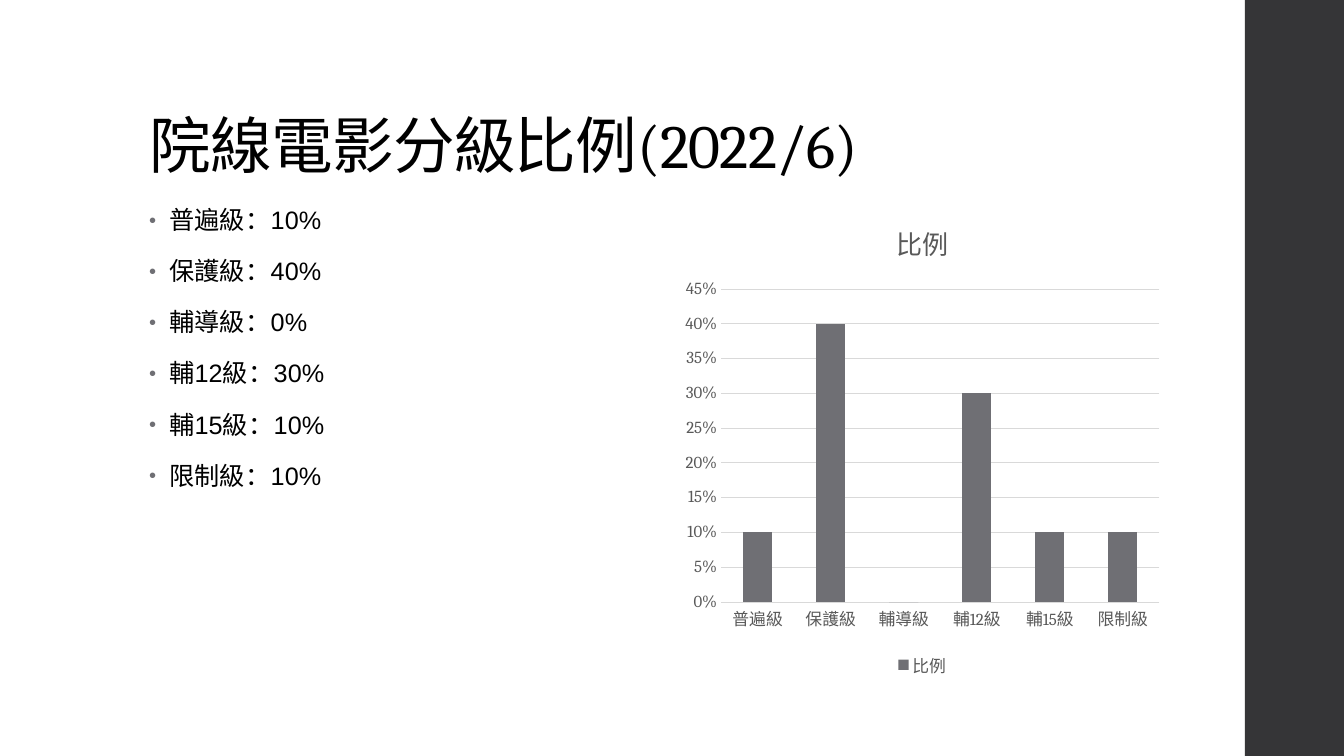
import pptx
import pptx.chart.data
import pptx.dml.color
import pptx.enum.chart
import pptx.enum.shapes
import pptx.enum.text
import pptx.oxml.ns
import pptx.util
from lxml import etree

RGBColor = pptx.dml.color.RGBColor
WHITE = RGBColor(0xFF, 0xFF, 0xFF)
BLACK = RGBColor(0, 0, 0)
CHARCOAL = RGBColor(0x35, 0x35, 0x37)
ACCENT = RGBColor(0x6F, 0x6F, 0x74)
CHART_TEXT = RGBColor(0x59, 0x59, 0x59)
GRIDLINE = RGBColor(0xD9, 0xD9, 0xD9)

COLUMNS, ROWS = 160, 90
SERIF, SANS = "Cambria", "Arial"

RATINGS = {"普遍級": 0.1, "保護級": 0.4, "輔導級": 0, "輔12級": 0.3, "輔15級": 0.1, "限制級": 0.1}


class RatingSlide:
    def __init__(self, prs):
        self.prs = prs
        self.slide = prs.slides.add_slide(prs.slide_layouts[5])
        self.slide.background.fill.solid()
        self.slide.background.fill.fore_color.rgb = WHITE

    def box(self, col, row, cols, rows):
        """Turn grid columns and rows into left, top, width and height."""
        x, y = self.prs.slide_width / COLUMNS, self.prs.slide_height / ROWS
        return round(col * x), round(row * y), round(cols * x), round(rows * y)

    def style(self, font, size, color, name=SERIF):
        font.size = pptx.util.Pt(size)
        font.name = name
        font.color.rgb = color
        font.bold = False

    def run(self, p, text, size, name, tracking):
        """Add a run; tracking is in hundredths of a point."""
        r = p.add_run()
        r.text = text
        self.style(r.font, size, BLACK, name)
        r.font._element.set("spc", str(tracking))

    def bar(self, *cells):
        sp = self.slide.shapes.add_shape(pptx.enum.shapes.MSO_SHAPE.RECTANGLE, *self.box(*cells))
        sp.shadow.inherit = False
        sp.fill.solid()
        sp.fill.fore_color.rgb = CHARCOAL
        sp.line.fill.background()

    def title(self, text, *cells):
        sp = self.slide.shapes.title
        sp.left, sp.top, sp.width, sp.height = self.box(*cells)
        tf = sp.text_frame
        tf.word_wrap = True
        tf.auto_size = pptx.enum.text.MSO_AUTO_SIZE.NONE
        tf.vertical_anchor = pptx.enum.text.MSO_ANCHOR.BOTTOM
        p = tf.paragraphs[0]
        p.alignment = pptx.enum.text.PP_ALIGN.LEFT
        p.line_spacing = 0.9
        self.run(p, text, 44, SERIF, -50)

    def bullet(self, p):
        pPr = p._p.get_or_add_pPr()
        pPr.set("marL", str(pptx.util.Inches(0.2)))
        pPr.set("indent", str(pptx.util.Inches(-0.2)))
        qn = pptx.oxml.ns.qn
        color = etree.SubElement(pPr, qn("a:buClr"))
        etree.SubElement(color, qn("a:srgbClr"), val=str(ACCENT))
        etree.SubElement(pPr, qn("a:buSzPct"), val="80000")
        etree.SubElement(pPr, qn("a:buFont"), typeface=SANS)
        etree.SubElement(pPr, qn("a:buChar"), char="•")

    def bullets(self, ratings, *cells):
        tf = self.slide.shapes.add_textbox(*self.box(*cells)).text_frame
        tf.word_wrap = True
        for i, (label, share) in enumerate(ratings.items()):
            p = tf.add_paragraph() if i else tf.paragraphs[0]
            self.bullet(p)
            p.line_spacing = 0.95
            p.space_before = pptx.util.Pt(14 if i else 0)
            p.space_after = pptx.util.Pt(2)
            self.run(p, label, 18, SANS if i else SERIF, 10)
            self.run(p, f"：{share:.0%}", 18, SANS, 10)

    def column_chart(self, name, ratings, *cells):
        data = pptx.chart.data.CategoryChartData(number_format="0%")
        data.categories = list(ratings)
        data.add_series(name, list(ratings.values()))
        kind = pptx.enum.chart.XL_CHART_TYPE.COLUMN_CLUSTERED
        chart = self.slide.shapes.add_chart(kind, *self.box(*cells), data).chart
        self.style(chart.font, 10, BLACK)

        chart.has_title = True
        p = chart.chart_title.text_frame.paragraphs[0]
        r = p.add_run()
        r.text = name
        self.style(r.font, 18.6, CHART_TEXT)
        chart.chart_title.include_in_layout = False

        chart.has_legend = True
        chart.legend.position = pptx.enum.chart.XL_LEGEND_POSITION.BOTTOM
        chart.legend.include_in_layout = False
        self.style(chart.legend.font, 12, CHART_TEXT)

        for axis in (chart.category_axis, chart.value_axis):
            axis.major_tick_mark = pptx.enum.chart.XL_TICK_MARK.NONE
            axis.minor_tick_mark = pptx.enum.chart.XL_TICK_MARK.NONE
            axis.format.line.fill.background()
            self.style(axis.tick_labels.font, 12, CHART_TEXT)
        values = chart.value_axis
        values.minimum_scale, values.maximum_scale, values.major_unit = 0, 0.45, 0.05
        values.tick_labels.number_format = "0%"
        values.tick_labels.number_format_is_linked = False
        values.has_major_gridlines = True
        values.major_gridlines.format.line.color.rgb = GRIDLINE
        values.major_gridlines.format.line.width = pptx.util.Pt(0.75)

        plot = chart.plots[0]
        plot.gap_width = 150
        plot.vary_by_categories = False
        fill = plot.series[0].format.fill
        fill.solid()
        fill.fore_color.rgb = ACCENT


def main():
    prs = pptx.Presentation()
    prs.slide_width = pptx.util.Inches(13.33)
    prs.slide_height = pptx.util.Inches(7.5)
    s = RatingSlide(prs)
    s.bar(148.2, 0, 12, ROWS)
    s.title("院線電影分級比例(2022/6)", 16.56, 4.8, 127.2, 17.4)
    s.bullets(RATINGS, 16.56, 24, 58.8, 57.12)
    s.column_chart("比例", RATINGS, 80.4, 24, 58.8, 57.12)
    prs.save("out.pptx")


if __name__ == "__main__":
    main()
